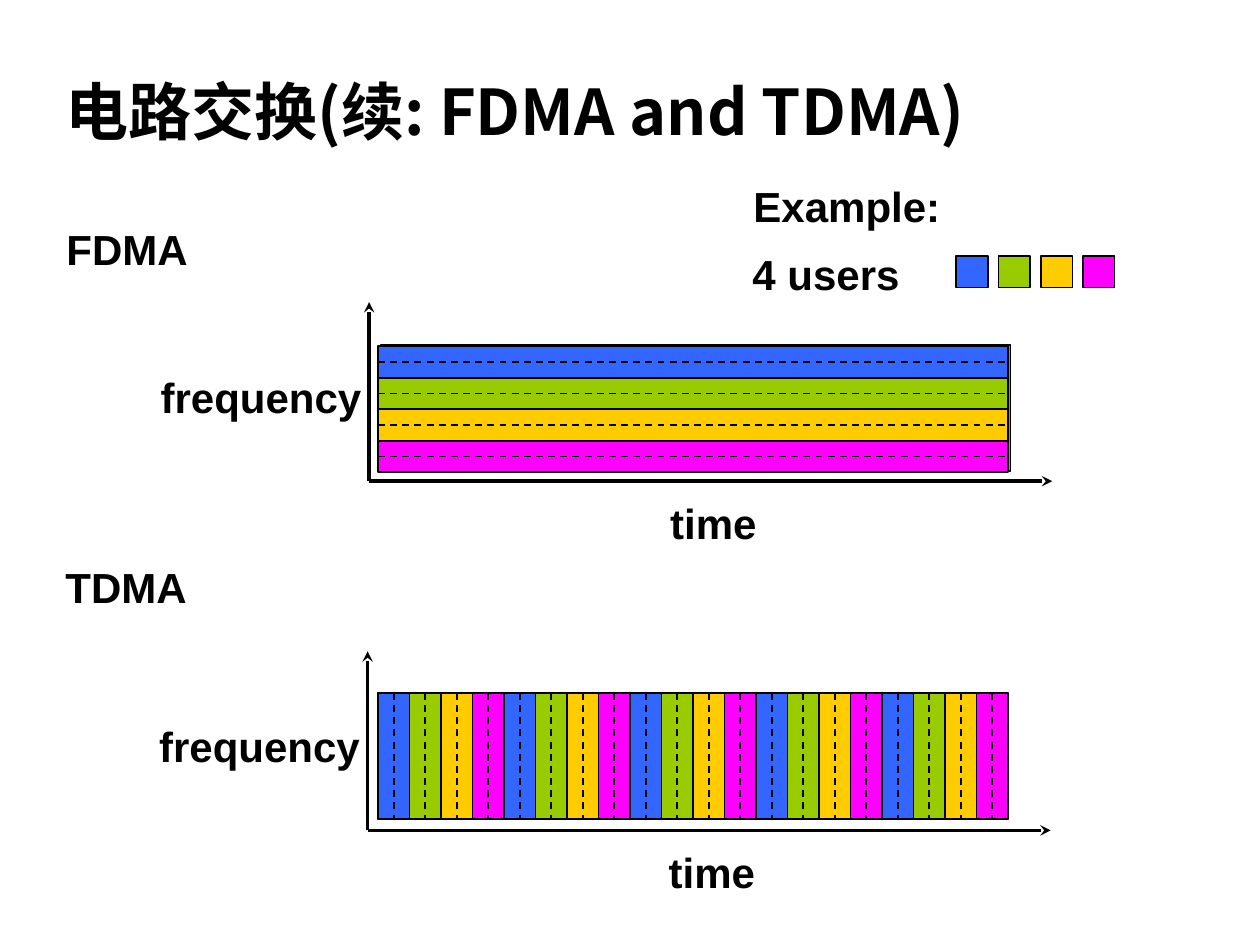
from lxml import etree
from pptx import Presentation
from pptx.dml.color import RGBColor
from pptx.enum.dml import MSO_LINE
from pptx.enum.shapes import MSO_CONNECTOR, MSO_SHAPE
from pptx.enum.text import MSO_ANCHOR, MSO_AUTO_SIZE, PP_ALIGN
from pptx.oxml.ns import qn
from pptx.util import Cm, Pt

STRAIGHT = MSO_CONNECTOR.STRAIGHT
RECT = MSO_SHAPE.RECTANGLE
DASH = MSO_LINE.DASH
LEFT = PP_ALIGN.LEFT
MIDDLE = MSO_ANCHOR.MIDDLE
FIT = MSO_AUTO_SIZE.SHAPE_TO_FIT_TEXT

BLACK = RGBColor(0x00, 0x00, 0x00)
BLUE = RGBColor(0x33, 0x66, 0xFF)
GREEN = RGBColor(0x99, 0xCC, 0x00)
YELLOW = RGBColor(0xFF, 0xCC, 0x00)
MAGENTA = RGBColor(0xFF, 0x00, 0xFF)
BACKING = RGBColor(0x5B, 0x9B, 0xD5)
USERS = (BLUE, GREEN, YELLOW, MAGENTA)

TITLE_FONT = {"name": "Noto Sans CJK SC", "size": Pt(36), "bold": True}
LABEL_FONT = {"name": "Arial", "size": Pt(24), "bold": True}
LABEL_FRAME = {"word_wrap": False, "auto_size": FIT}
TITLE_FRAME = {"word_wrap": True, "auto_size": FIT, "vertical_anchor": MIDDLE}


def apply(target, values):
    """Set each attribute of target from a dict."""
    for key, value in values.items():
        setattr(target, key, value)


def write(tf, text, font, frame):
    """Write one black, left-aligned line in a text frame."""
    apply(tf, frame)
    p = tf.paragraphs[0]
    p.alignment = LEFT
    r = p.add_run()
    r.text = text
    apply(r.font, font)
    r.font.color.rgb = BLACK
    return p, r


def add_title(s, text, x, y, w, h):
    """Fill and place the title placeholder."""
    sp = s.shapes.title
    apply(sp, {"left": Cm(x), "top": Cm(y), "width": Cm(w), "height": Cm(h)})
    p, r = write(sp.text_frame, text, TITLE_FONT, TITLE_FRAME)
    p.line_spacing = 0.9
    ea = etree.SubElement(r.font._element, qn("a:ea"))
    ea.set("typeface", TITLE_FONT["name"])


def add_label(s, text, x, y, w):
    """Add a bold one-line label."""
    sp = s.shapes.add_textbox(Cm(x), Cm(y), Cm(w), Cm(1.27))
    write(sp.text_frame, text, LABEL_FONT, LABEL_FRAME)


def add_rect(s, x, y, w, h, color):
    """Add a filled rectangle with a thin black outline."""
    sp = s.shapes.add_shape(RECT, Cm(x), Cm(y), Cm(w), Cm(h))
    sp.shadow.inherit = False
    sp.fill.solid()
    sp.fill.fore_color.rgb = color
    sp.line.color.rgb = BLACK
    sp.line.width = Pt(1)


def add_line(s, x1, y1, x2, y2, width=1, dash=None, arrow=False):
    """Add a straight black line, dashed or with an arrowhead on request."""
    sp = s.shapes.add_connector(STRAIGHT, Cm(x1), Cm(y1), Cm(x2), Cm(y2))
    sp.line.color.rgb = BLACK
    sp.line.width = Pt(width)
    if dash:
        sp.line.dash_style = dash
    if arrow:
        etree.SubElement(sp.line._get_or_add_ln(), qn("a:tailEnd"), type="stealth")
    etree.SubElement(sp._element.spPr, qn("a:effectLst"))


def add_axes(s, x, y):
    """Draw the frequency and time axes from the origin x, y."""
    add_line(s, x, y, x, y - 3.61, width=2, arrow=True)
    add_line(s, x, y, x + 13.77, y, width=2, arrow=True)
    add_label(s, "frequency", x - 4.45, y - 2.34, 4.57)
    add_label(s, "time", x + 5.82, y + 0.2, 2.26)


def add_fdma(s, x, y, w, h):
    """Split the box into one frequency band per user."""
    add_label(s, "FDMA", x - 6.53, y - 2.59, 2.95)
    add_axes(s, x - 0.18, y + 2.72)
    add_rect(s, x + 0.05, y - 0.03, w, h, BACKING)
    band = h / len(USERS)
    for i, color in enumerate(USERS):
        top = y + i * band
        add_rect(s, x, top, w, band, color)
        if i:
            add_line(s, x, top, x + w, top)
        add_line(s, x, top + band / 2, x + w, top + band / 2, dash=DASH)


def add_tdma(s, x, y, w, h, slots=20):
    """Split the box into time slots that the users take in turn."""
    add_label(s, "TDMA", x - 6.55, y - 2.77, 2.95)
    add_axes(s, x - 0.21, y + 2.77)
    add_rect(s, x, y, w, h, BACKING)
    slot = w / slots
    for i in range(slots):
        left = x + i * slot
        add_rect(s, left, y, slot, h, USERS[i % len(USERS)])
        if i:
            add_line(s, left, y, left, y + h)
        add_line(s, left + slot / 2, y, left + slot / 2, y + h, dash=DASH)


def add_legend(s, x, y):
    """Show the example heading and one colour square per user."""
    add_label(s, "Example:", x, y, 4.27)
    add_label(s, "4 users", x - 0.02, y + 1.37, 3.48)
    for i, color in enumerate(USERS):
        add_rect(s, x + 4.34 + i * 0.85, y + 1.65, 0.64, 0.64, color)


def main():
    """Build the slide and save it."""
    prs = Presentation()
    prs.slide_width, prs.slide_height = Cm(25.4), Cm(19.05)
    s = prs.slides.add_slide(prs.slide_layouts[5])
    add_title(s, "电路交换(续: FDMA and TDMA)", 1.07, 1.5, 23.52, 1.65)
    add_fdma(s, 7.62, 6.98, 12.7, 2.54)
    add_tdma(s, 7.62, 13.97, 12.7, 2.54)
    add_legend(s, 14.94, 3.51)
    prs.save("out.pptx")


if __name__ == "__main__":
    main()
